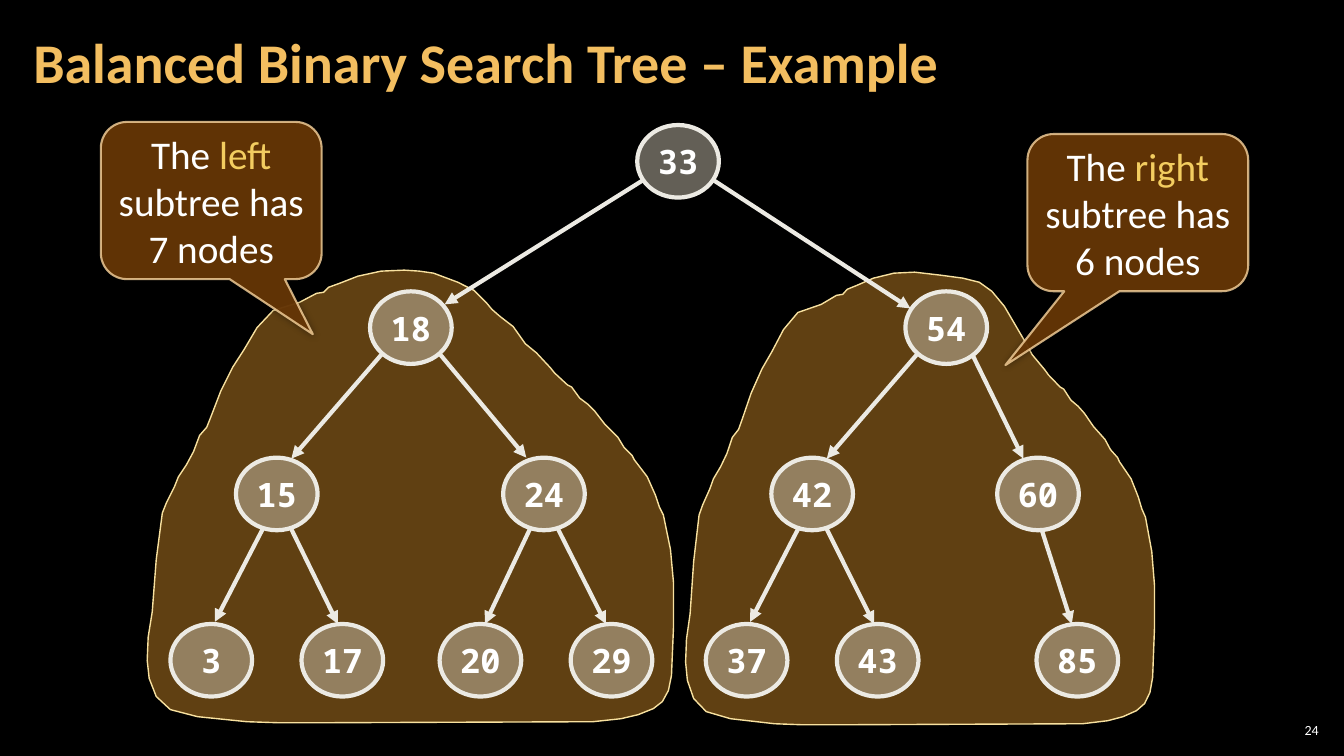
from collections import namedtuple

from pptx import Presentation
from pptx.dml.color import RGBColor
from pptx.enum.shapes import MSO_CONNECTOR as Connector, MSO_SHAPE as Shape
from pptx.enum.text import MSO_ANCHOR as Anchor, PP_ALIGN as Align
from pptx.oxml import parse_xml
from pptx.oxml.ns import nsdecls
from pptx.oxml.xmlchemy import OxmlElement
from pptx.util import Inches, Pt

BLACK = RGBColor(0x00, 0x00, 0x00)
WHITE = RGBColor(0xFF, 0xFF, 0xFF)
TITLE_GOLD = RGBColor(0xF3, 0xBE, 0x60)
HILL_FILL = RGBColor(0xF0, 0xA2, 0x2E)
HILL_LINE = RGBColor(0xF8, 0xE1, 0x9F)
NODE_FILL = RGBColor(0xC7, 0xBF, 0xAC)
NODE_LINE = RGBColor(0xEC, 0xEA, 0xE3)
CALLOUT_FILL = RGBColor(0x66, 0x36, 0x06)
CALLOUT_LINE = RGBColor(0xF8, 0xD4, 0x9E)
KEYWORD = RGBColor(0xF3, 0xCD, 0x60)

Box = namedtuple("Box", "left top width height")
# left is measured from the tree's edge; leave and arrive are the arrow's
# ends, measured from the corners of the parent's and the node's own box
Node = namedtuple("Node", "key left level parent leave arrive", defaults=(None, None, None))

NODE_WIDTH, NODE_HEIGHT, LEVEL_STEP = 0.81, 0.72, 1.65
NODES = [
    Node(33, 4.63, 0),
    Node(18, 1.98, 1, 33, (0.07, 0.54), (0.74, 0.13)),
    Node(54, 7.29, 1, 33, (0.76, 0.55), (0.05, 0.17)),
    Node(15, 0.65, 2, 18, (0.12, 0.62), (0.55, 0.01)),
    Node(24, 3.3, 2, 18, (0.69, 0.62), (0.23, 0)),
    Node(42, 5.96, 2, 54, (0.12, 0.62), (0.55, 0.01)),
    Node(60, 8.2, 2, 54, (0.67, 0.64), (0.26, 0.01)),
    Node(3, 0, 3, 15, (0.27, 0.7), (0.44, -0.02)),
    Node(17, 1.3, 3, 15, (0.54, 0.69), (0.36, 0)),
    Node(20, 2.67, 3, 24, (0.27, 0.7), (0.45, 0)),
    Node(29, 3.97, 3, 24, (0.54, 0.7), (0.35, 0)),
    Node(37, 5.31, 3, 42, (0.27, 0.7), (0.44, -0.02)),
    Node(43, 6.61, 3, 42, (0.54, 0.69), (0.37, 0)),
    Node(85, 8.59, 3, 60, (0.44, 0.71), (0.35, 0)),
]

# Hill outline, drawn for a width of 5.22; only the right shoulder varies
HILL_WIDTH = 5.22
HILL_OUTLINE = [
    (2.55, 0), (2.32, 0.01), (2.09, 0.06), (1.91, 0.13), (1.8, 0.17), (1.75, 0.22),
    (1.68, 0.23), (1.51, 0.32), (1.38, 0.36), (1.25, 0.4), (1.09, 0.57), (0.96, 0.79),
    (0.85, 0.96), (0.73, 1.2), (0.63, 1.46), (0.59, 1.56), (0.52, 1.64), (0.46, 1.8),
    (0.39, 1.93), (0.31, 2.05), (0.27, 2.15), (0.19, 2.31), (0.15, 2.41), (0.09, 2.87),
    (0.05, 3.39), (0.01, 3.64), (0, 3.87), (0.02, 4.05), (0.09, 4.23), (0.23, 4.36),
    (0.5, 4.43), (0.99, 4.48), (1.3, 4.49), (1.73, 4.49), (4.42, 4.48), (4.7, 4.45),
    (4.87, 4.41), (5.02, 4.35), (5.11, 4.28), (5.17, 4.17), (5.2, 4.02), (5.22, 3.54),
    (5.22, 3.1), (5.19, 2.77), (5.12, 2.43), (5.08, 2.35), (5.04, 2.23), (4.96, 2.05),
    (4.83, 1.88), (4.81, 1.84), (4.73, 1.76), (4.67, 1.66), (4.54, 1.53), (4.44, 1.4),
    (4.37, 1.33), (4.29, 1.27), (4.21, 1.16), (4.17, 1.14), (4.04, 1.02), (4, 0.97),
    (3.86, 0.82),
]
LEFT_SHOULDER = [
    (3.75, 0.73), (3.63, 0.56), (3.5, 0.46), (3.42, 0.39), (3.37, 0.33),
    (3.3, 0.26), (3.24, 0.2), (3.08, 0.12), (2.84, 0.03), (2.7, 0.01),
]
RIGHT_SHOULDER = [
    (3.76, 0.66), (3.55, 0.34), (3.41, 0.19), (3.27, 0.1), (3.09, 0.06), (2.84, 0.03),
]


def inches(values):
    return [Inches(value) for value in values]


def set_alpha(color_parent, percent):
    color = color_parent.find(".//{*}srgbClr")
    alpha = OxmlElement("a:alpha")
    alpha.set("val", str(percent * 1000))
    color.append(alpha)


def style_shape(shape, fill, opacity, line, line_width):
    shape.shadow.inherit = False
    shape.fill.solid()
    shape.fill.fore_color.rgb = fill
    shape.line.color.rgb = line
    shape.line.width = Pt(line_width)
    set_alpha(shape._element.spPr.find("{*}solidFill"), opacity)


def style_paragraph(para, size, color, align=None, name="Calibri", bold=False):
    para.alignment = align
    font = para.font
    font.name, font.size, font.bold = name, Pt(size), bold
    font.color.rgb = color


def add_title(slide, box, text):
    title = slide.shapes.title
    title.left, title.top, title.width, title.height = inches(box)
    frame = title.text_frame
    frame.text = text
    frame.vertical_anchor = Anchor.MIDDLE
    frame.margin_left = frame.margin_right = Inches(0.12)
    frame.margin_top = frame.margin_bottom = Inches(0.04)
    para = frame.paragraphs[0]
    style_paragraph(para, 40, TITLE_GOLD, Align.LEFT, bold=True)
    para.line_spacing = 0.9


def add_slide_number(slide, box, text):
    frame = slide.shapes.add_textbox(*inches(box)).text_frame
    frame.text = text
    frame.word_wrap = True
    frame.vertical_anchor = Anchor.MIDDLE
    frame.margin_left = frame.margin_right = Inches(0.04)
    frame.margin_top = frame.margin_bottom = Inches(0.04)
    style_paragraph(frame.paragraphs[0], 10, WHITE, Align.RIGHT)


def add_hill(slide, box, shoulder):
    stretch = box.width / HILL_WIDTH
    points = [inches((box.left + x * stretch, box.top + y)) for x, y in HILL_OUTLINE + shoulder]
    builder = slide.shapes.build_freeform(*points[0])
    builder.add_line_segments(points[1:], close=True)
    style_shape(builder.convert_to_shape(), HILL_FILL, 40, HILL_LINE, 1)


def add_node(slide, box, text):
    circle = slide.shapes.add_shape(Shape.OVAL, *inches(box))
    style_shape(circle, NODE_FILL, 50, NODE_LINE, 3)
    frame = circle.text_frame
    frame.text = text
    frame.word_wrap = False
    frame.vertical_anchor = Anchor.MIDDLE
    style_paragraph(frame.paragraphs[0], 24, WHITE, Align.CENTER, "Noto Sans Mono", True)


def add_arrow(slide, start, end):
    arrow = slide.shapes.add_connector(Connector.STRAIGHT, *inches(start + end))
    arrow.line.color.rgb = NODE_LINE
    arrow.line.width = Pt(3)
    head = OxmlElement("a:tailEnd")
    head.set("type", "triangle")
    arrow.line._get_or_add_ln().append(head)
    arrow._element.spPr.append(OxmlElement("a:effectLst"))


def add_tree(slide, left, top):
    boxes = {
        node.key: Box(left + node.left, top + node.level * LEVEL_STEP, NODE_WIDTH, NODE_HEIGHT)
        for node in NODES
    }
    for key, box in boxes.items():
        add_node(slide, box, str(key))
    for node in NODES[1:]:
        parent, child = boxes[node.parent], boxes[node.key]
        start = (parent.left + node.leave[0], parent.top + node.leave[1])
        end = (child.left + node.arrive[0], child.top + node.arrive[1])
        add_arrow(slide, start, end)


def add_callout(slide, box, pointer, side, count):
    callout = slide.shapes.add_shape(Shape.ROUNDED_RECTANGULAR_CALLOUT, *inches(box))
    callout.adjustments[0], callout.adjustments[1] = pointer
    style_shape(callout, CALLOUT_FILL, 95, CALLOUT_LINE, 1.5)
    set_alpha(callout.line._get_or_add_ln(), 80)
    # Soft shadow
    callout._element.spPr.find("{*}effectLst").append(parse_xml(
        f'<a:outerShdw {nsdecls("a")} blurRad="{Pt(5)}" dist="0">'
        '<a:srgbClr val="000000"><a:alpha val="40000"/></a:srgbClr></a:outerShdw>'
    ))
    frame = callout.text_frame
    frame.word_wrap = True
    frame.vertical_anchor = Anchor.MIDDLE
    para = frame.paragraphs[0]
    style_paragraph(para, 28, WHITE, Align.CENTER)
    for text, color in (("The ", WHITE), (side, KEYWORD), (f" subtree has {count} nodes", WHITE)):
        span = para.add_run()
        span.text = text
        span.font.color.rgb = color


def main():
    deck = Presentation()
    deck.slide_width, deck.slide_height = Inches(13.33), Inches(7.5)
    slide = deck.slides.add_slide(deck.slide_layouts[5])
    slide.background.fill.solid()
    slide.background.fill.fore_color.rgb = BLACK

    add_title(slide, Box(0.21, 0.04, 10.47, 1.21), "Balanced Binary Search Tree – Example")
    add_slide_number(slide, Box(12.65, 7.14, 0.47, 0.21), "24")
    add_hill(slide, Box(6.8, 2.7, 4.65, 4.49), RIGHT_SHOULDER)
    add_hill(slide, Box(1.46, 2.68, 5.22, 4.49), LEFT_SHOULDER)
    add_tree(slide, 1.69, 1.24)
    add_callout(slide, Box(1, 1.21, 2.19, 1.56), (0.46, 0.85), "left", 7)
    add_callout(slide, Box(10.19, 1.33, 2.19, 1.56), (-0.6, 0.97), "right", 6)
    deck.save("out.pptx")


if __name__ == "__main__":
    main()
